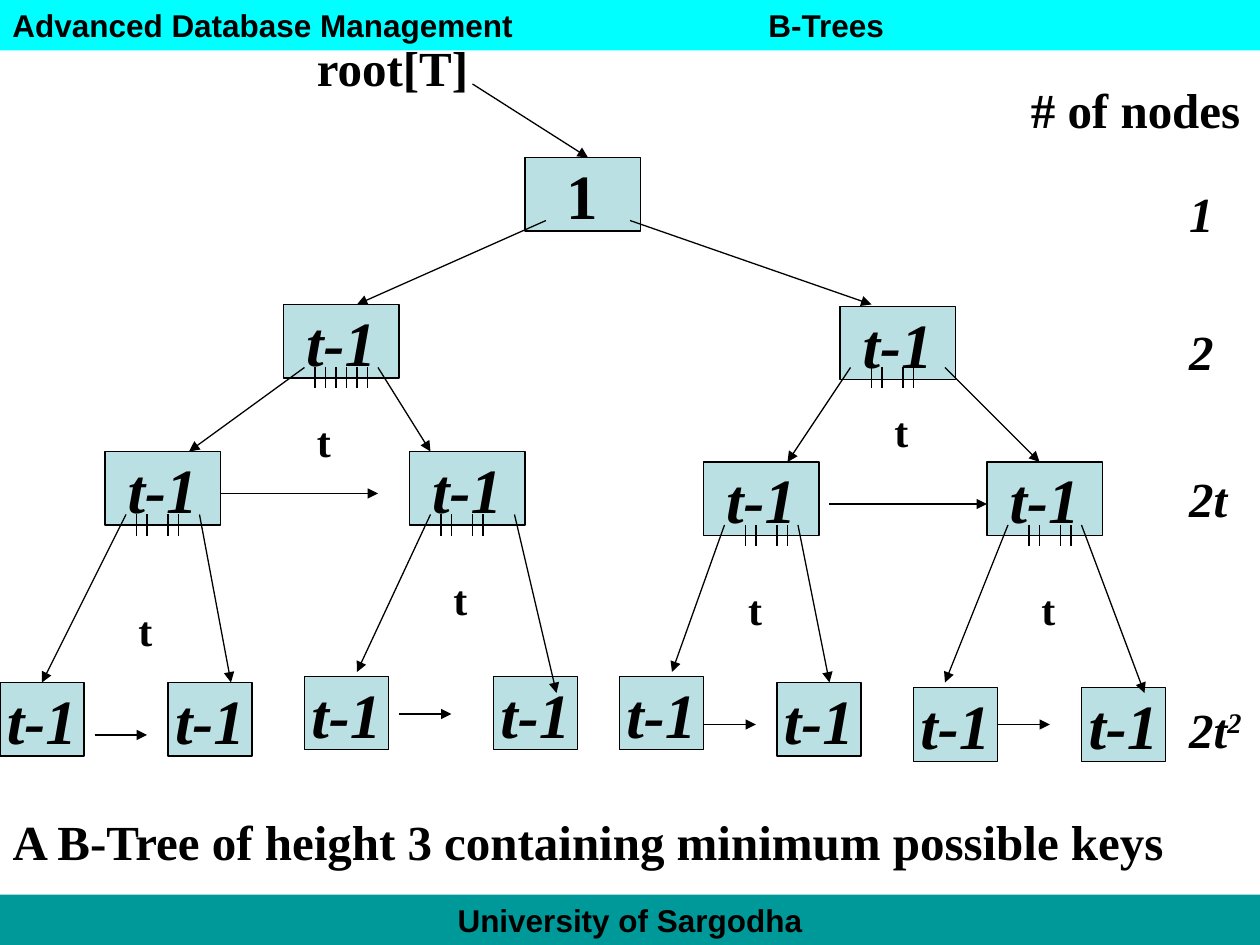
import pptx
import pptx.util
import pptx.dml.color
import pptx.enum.shapes
import pptx.enum.text
import pptx.oxml.ns
from lxml import etree

Pt = pptx.util.Pt
Rgb = pptx.dml.color.RGBColor.from_string
Anchor = pptx.enum.text.MSO_ANCHOR
Align = pptx.enum.text.PP_ALIGN

# Content: lengths in points
HEAD = "Advanced Database Management\t\t\t\t\tB-Trees"
FOOT = "University of Sargodha"
TITLE = "A B-Tree of height 3 containing minimum possible keys"
KEY = "t-1"
ROOT = (300, 90)
INNER = [(162, 174), (480, 175), (60, 258), (234, 258), (402, 264), (564, 264)]
LEAVES = [(0, 390), (96, 390), (174, 386.5), (282, 386.5),
          (354, 386.5), (444, 390), (522, 393), (618, 393)]

# Arrows: x, y of tail, then x, y of head
LINKS = [
    (270, 48, 336, 90),
    (312, 126, 204, 174), (360, 126, 498, 174),
    (174, 210, 108, 258), (216, 210, 246, 258),
    (486, 210, 450, 264), (540, 210, 594, 264),
    (72, 294, 24, 390), (114, 294, 132, 390),
    (246, 294, 204, 384), (294, 294, 318, 396),
    (414, 300, 384, 384), (456, 300, 474, 390),
    (576, 300, 540, 390), (618, 300, 654, 396),
]
# Level arrows: x, y, length
SPANS = [(126, 282, 90), (474, 288, 90), (54, 420, 30),
         (228, 408, 30), (402, 414, 30), (570, 414, 30)]

# Child ticks: x and y of the first, then steps of the grid
FULL, GAP = (0, 1, 2, 3, 4, 5), (0, 1, 3, 4)
TICKS = [(180, 210, FULL), (498, 210, GAP), (78, 294, GAP),
         (252, 294, GAP), (426, 300, GAP), (588, 300, GAP)]
STEP, DROP = 6, 12

# Text labels: x, y, width, text
NAMES = [(174, 18, 102, "root[T]"), (582, 42, 138, "# of nodes")]
COUNTS = [(101.5, "1", ""), (180, "2", ""), (264, "2t", ""), (396, "2t", "2")]
COUNT_X = 672.5
FANS = [(174, 234), (504, 228), (72, 342), (252, 324), (420.5, 330), (588, 330)]

# Theme
SERIF, SANS = "Times New Roman", "Arial"
THEME = {
    "ink": "000000", "node": "BBE0E3", "head": "00FFFF", "foot": "009999",
    "line": 0.75,
    "bar": {"name": SANS, "size": Pt(18), "bold": True},
    "root": {"name": SERIF, "size": Pt(36), "bold": True},
    "key": {"name": SERIF, "size": Pt(36), "bold": True, "italic": True},
    "label": {"name": SERIF, "size": Pt(28), "bold": True},
    "count": {"name": SERIF, "size": Pt(28), "bold": True, "italic": True},
    "fan": {"name": SERIF, "size": Pt(24), "bold": True},
}
WIDE, HIGH, BAR = 720, 540, 28.8
BOX_W, LEAF_W, BOX_H = 66, 48, 42

deck = pptx.Presentation()
deck.slide_width, deck.slide_height = Pt(WIDE), Pt(HIGH)
slide = deck.slides.add_slide(deck.slide_layouts[5])
shapes = slide.shapes


def add_run(para, text, look):
    run = para.add_run()
    run.text = text
    for key, val in THEME[look].items():
        setattr(run.font, key, val)
    run.font.color.rgb = Rgb(THEME["ink"])
    return run


def write(shape, text, look, align=Align.LEFT, anchor=Anchor.TOP, wrap=False):
    frame = shape.text_frame
    form = {"word_wrap": wrap, "vertical_anchor": anchor,
            "auto_size": pptx.enum.text.MSO_AUTO_SIZE.NONE}
    for key, val in form.items():
        setattr(frame, key, val)
    para = frame.paragraphs[0]
    para.alignment = align
    add_run(para, text, look)
    return para


def add_rect(x, y, w, h, fill):
    rect = shapes.add_shape(pptx.enum.shapes.MSO_SHAPE.RECTANGLE,
                            Pt(x), Pt(y), Pt(w), Pt(h))
    rect.shadow.inherit = False
    rect.fill.solid()
    rect.fill.fore_color.rgb = Rgb(THEME[fill])
    return rect


def add_bar(y, fill, text, align):
    bar = add_rect(0, y, WIDE, BAR, fill)
    bar.line.fill.background()
    write(bar, text, "bar", align, wrap=True).space_before = Pt(4.5)


def add_node(x, y, w, text, look):
    node = add_rect(x, y, w, BOX_H, "node")
    node.line.color.rgb = Rgb(THEME["ink"])
    node.line.width = Pt(THEME["line"])
    write(node, text, look, Align.CENTER, Anchor.MIDDLE)
    return node


def add_label(x, y, w, h, text, look):
    box = shapes.add_textbox(Pt(x), Pt(y), Pt(w), Pt(h))
    return write(box, text, look)


def find_side(nodes, x, y):
    """Return the node and site whose side has its middle at this point."""
    for node in nodes:
        l, t, w, h = node.left, node.top, node.width, node.height
        mids = [(l + w / 2, t), (l, t + h / 2),
                (l + w / 2, t + h), (l + w, t + h / 2)]
        for site, (mx, my) in enumerate(mids):
            if max(abs(mx - Pt(x)), abs(my - Pt(y))) < Pt(1):
                return node, site
    return None


def add_line(x1, y1, x2, y2):
    line = shapes.add_connector(pptx.enum.shapes.MSO_CONNECTOR.STRAIGHT,
                                Pt(x1), Pt(y1), Pt(x2), Pt(y2))
    line.line.color.rgb = Rgb(THEME["ink"])
    line.line.width = Pt(THEME["line"])
    etree.SubElement(line._element.spPr, pptx.oxml.ns.qn("a:effectLst"))
    return line


def add_arrow(nodes, x1, y1, x2, y2):
    line = add_line(x1, y1, x2, y2)
    etree.SubElement(line.line._get_or_add_ln(),
                     pptx.oxml.ns.qn("a:tailEnd"), type="triangle")
    for join, x, y in ((line.begin_connect, x1, y1), (line.end_connect, x2, y2)):
        hit = find_side(nodes, x, y)
        if hit:
            join(*hit)


# Bars and title
add_bar(HIGH - BAR, "foot", FOOT, Align.CENTER)
add_bar(0, "head", HEAD, Align.LEFT)
title = shapes.title
for key, val in {"left": 0, "top": 460, "width": WIDE, "height": 41}.items():
    setattr(title, key, Pt(val))
write(title, TITLE, "label", wrap=True)

# Nodes
nodes = [add_node(*ROOT, BOX_W, "1", "root")]
for spots, width in ((INNER, BOX_W), (LEAVES, LEAF_W)):
    nodes += [add_node(x, y, width, KEY, "key") for x, y in spots]

# Arrows and ticks
for link in LINKS + [(x, y, x + w, y) for x, y, w in SPANS]:
    add_arrow(nodes, *link)
for x, y, steps in TICKS:
    for step in steps:
        tick = x + step * STEP
        add_line(tick, y, tick, y + DROP)

# Labels
for x, y, w, text in NAMES:
    add_label(x, y, w, 41, text, "label")
for y, text, power in COUNTS:
    para = add_label(COUNT_X, y, 44 if power else 36, 41, text, "count")
    if power:
        add_run(para, power, "count")._r.get_or_add_rPr().set("baseline", "30000")
for x, y in FANS:
    add_label(x, y, 22, 36, "t", "fan")

deck.save("out.pptx")
